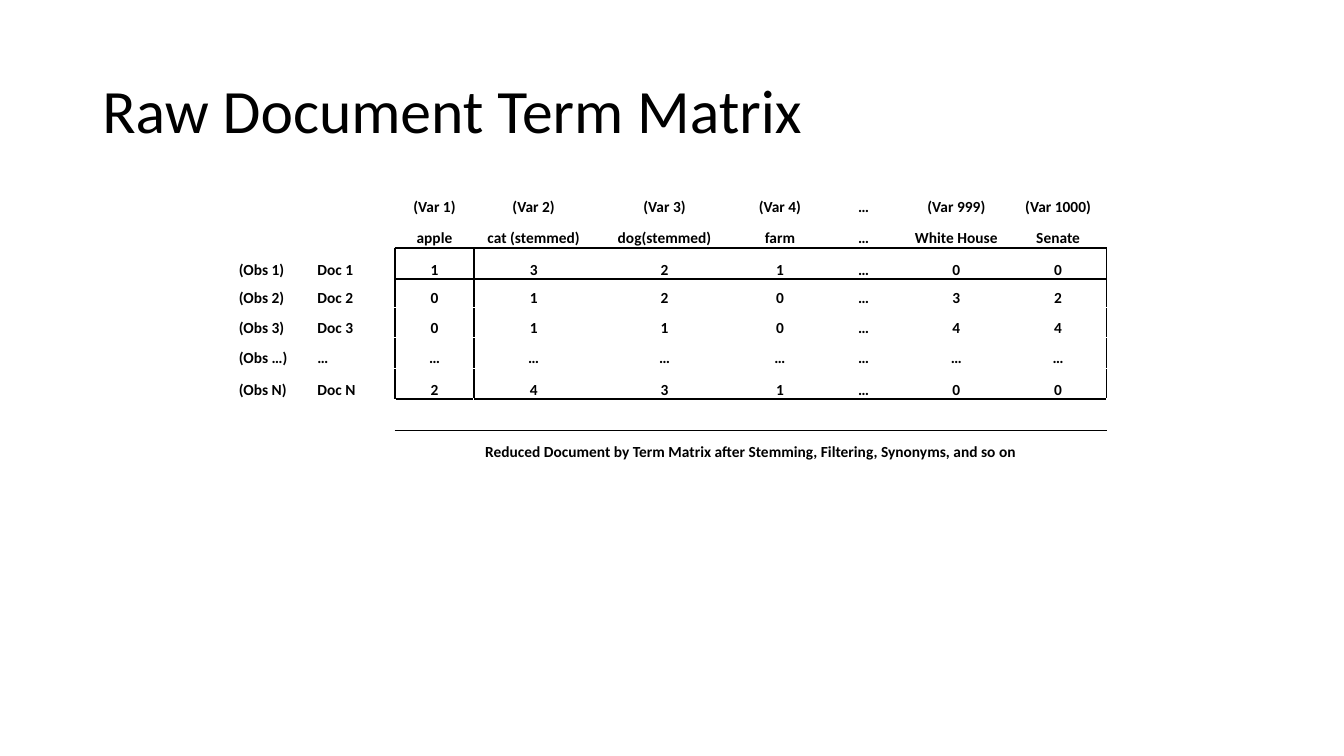
"""Build a slide that shows a raw document term matrix."""
from lxml import etree
from pptx import Presentation
from pptx import util as u
from pptx.dml.color import RGBColor
from pptx.enum import text
from pptx.oxml.ns import qn


def style(run, size, bold=False, hue="000000"):
    run.font.name = "Calibri"
    run.font.size = u.Pt(size)
    run.font.bold = bold
    run.font.color.rgb = RGBColor.from_string(hue)


def border(cell, sides, hue="000000"):
    props = cell._tc.get_or_add_tcPr()
    for side in "LRTB":
        if side in sides:
            line = etree.SubElement(props, qn("a:ln" + side), w=str(u.Pt(1.5)))
            fill = etree.SubElement(line, qn("a:solidFill"))
            etree.SubElement(fill, qn("a:srgbClr"), val=hue)


deck = Presentation()
deck.slide_width, deck.slide_height = u.Pt(960), u.Pt(540)
slide = deck.slides.add_slide(deck.slide_layouts[6])

title = slide.shapes.add_textbox(u.Pt(66), u.Pt(28.75), u.Pt(828), u.Pt(104.4))
frame = title.text_frame
frame.word_wrap = True
frame.vertical_anchor = text.MSO_ANCHOR.MIDDLE
frame.text = "Raw Document Term Matrix"
frame.paragraphs[0].line_spacing = 0.9
style(frame.paragraphs[0].runs[0], 44)

rows = [
    ["", "", "(Var 1)", "(Var 2)", "(Var 3)", "(Var 4)", "…", "(Var 999)", "(Var 1000)"],
    ["", "", "apple", "cat (stemmed)", "dog(stemmed)", "farm", "…", "White House", "Senate"],
    ["(Obs 1)", "Doc 1", "1", "3", "2", "1", "…", "0", "0"],
    ["(Obs 2)", "Doc 2", "0", "1", "2", "0", "…", "3", "2"],
    ["(Obs 3)", "Doc 3", "0", "1", "1", "0", "…", "4", "4"],
    ["(Obs …)", "…", "…", "…", "…", "…", "…", "…", "…"],
    ["(Obs N)", "Doc N", "2", "4", "3", "1", "…", "0", "0"],
    [""] * 9,
    ["", "", "Reduced Document by Term Matrix after Stemming, Filtering, "
     "Synonyms, and so on"] + [""] * 6,
]
widths = [56.2, 56.2, 56.2, 85.5, 101.5, 63.4, 56.2, 76.3, 69.1]
heights = [21.8, 22.3, 22.3, 20.2, 21.6, 21.6, 22.3, 22.3, 22.3]
first, last = 2, 6
left, right = 2, 8

holder = slide.shapes.add_table(len(rows), len(widths), u.Pt(169.9), u.Pt(133.2),
                                u.Pt(sum(widths)), u.Pt(sum(heights)))
table = holder.table
table.first_row = table.horz_banding = False
for column, width in zip(table.columns, widths):
    column.width = u.Pt(width)
for row, height in zip(table.rows, heights):
    row.height = u.Pt(height)

for r, row in enumerate(rows):
    for c, label in enumerate(row):
        cell = table.cell(r, c)
        cell.margin_left = cell.margin_right = cell.margin_top = u.Pt(0.7)
        cell.margin_bottom = 0
        cell.vertical_anchor = text.MSO_ANCHOR.BOTTOM
        para = cell.text_frame.paragraphs[0]
        para.text = label
        para.alignment = text.PP_ALIGN.CENTER if c >= left else text.PP_ALIGN.LEFT
        for run in para.runs:
            style(run, 11, True)
        etree.SubElement(para._p, qn("a:endParaRPr"), sz="1100")
        sides = ""
        if first <= r <= last:
            sides += "L" * (c == left) + "R" * (c in (left - 1, right))
        if c >= left:
            sides += "T" * (r in (first, last + 1)) + "B" * (r in (first - 1, last))
        border(cell, sides)
        cell.fill.background()

table.cell(8, left).merge(table.cell(8, right))

deck.save("out.pptx")
